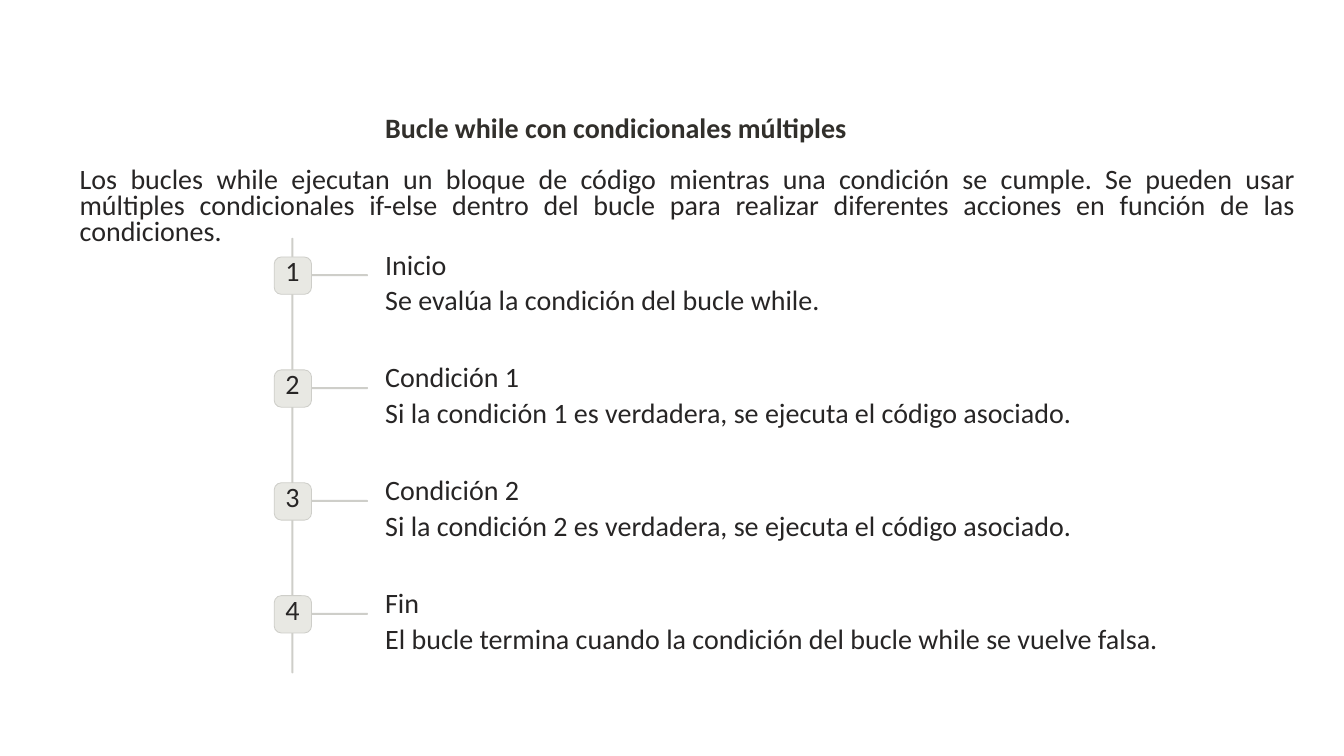
from pptx import Presentation
from pptx.dml.color import RGBColor
from pptx.enum.shapes import MSO_SHAPE
from pptx.enum.text import MSO_ANCHOR, MSO_AUTO_SIZE, PP_ALIGN
from pptx.util import Inches, Pt

TITLE_COLOR = RGBColor(0x31, 0x2F, 0x2B)
TEXT_COLOR = RGBColor(0x27, 0x25, 0x25)
LINE_COLOR = RGBColor(0xCE, 0xCE, 0xC9)
BADGE_COLOR = RGBColor(0xE8, 0xE8, 0xE3)
STEP_PITCH = 1.12
STEPS = [
    ("Inicio", "Se evalúa la condición del bucle while."),
    ("Condición 1", "Si la condición 1 es verdadera, se ejecuta el código asociado."),
    ("Condición 2", "Si la condición 2 es verdadera, se ejecuta el código asociado."),
    ("Fin", "El bucle termina cuando la condición del bucle while se vuelve falsa."),
]

presentation = Presentation()
presentation.slide_width = Inches(13.33)
presentation.slide_height = Inches(7.5)
slide = presentation.slides.add_slide(presentation.slide_layouts[5])


def write_text(box, text, spacing, alignment=PP_ALIGN.LEFT, wrap=False, color=TEXT_COLOR, bold=False):
    frame = box.text_frame
    frame.margin_left = frame.margin_top = frame.margin_right = frame.margin_bottom = 0
    frame.word_wrap = wrap
    frame.auto_size = MSO_AUTO_SIZE.NONE
    frame.vertical_anchor = MSO_ANCHOR.TOP
    frame.text = text
    paragraph = frame.paragraphs[0]
    paragraph.alignment = alignment
    paragraph.line_spacing = Pt(spacing)
    paragraph.font.name = "Calibri"
    paragraph.font.size = Pt(20)
    paragraph.font.bold = bold
    paragraph.font.color.rgb = color


def add_block(left, top, width, height, color, rounding):
    shape = slide.shapes.add_shape(
        MSO_SHAPE.ROUNDED_RECTANGLE, Inches(left), Inches(top), Inches(width), Inches(height))
    shape.adjustments[0] = rounding
    shape.shadow.inherit = False
    shape.fill.solid()
    shape.fill.fore_color.rgb = color
    shape.line.fill.background()
    return shape


title = slide.shapes.title
title.left, title.top = Inches(3.82), Inches(0.91)
title.width, title.height = Inches(7.17), Inches(1.04)
write_text(title, "Bucle while con condicionales múltiples", 37.1,
           wrap=True, color=TITLE_COLOR, bold=True)

introduction = slide.shapes.add_textbox(Inches(0.79), Inches(1.67), Inches(12.06), Inches(0.8))
write_text(
    introduction,
    "Los bucles while ejecutan un bloque de código mientras una condición se cumple. "
    "Se pueden usar múltiples condicionales if-else dentro del bucle para realizar "
    "diferentes acciones en función de las condiciones.",
    18.8, PP_ALIGN.JUSTIFY, wrap=True)

add_block(2.89, 2.36, 0.02, 4.32, LINE_COLOR, 0.5)

for index, (heading, description) in enumerate(STEPS):
    top = 2.55 + index * STEP_PITCH
    add_block(3.07, top + 0.17, 0.58, 0.02, LINE_COLOR, 0.5)
    badge = add_block(2.72, top, 0.37, 0.37, BADGE_COLOR, 0.19)
    badge.line.color.rgb = LINE_COLOR
    badge.line.width = Pt(0.6)

    number_box = slide.shapes.add_textbox(Inches(2.83), Inches(top + 0.06), Inches(0.14), Inches(0.25))
    write_text(number_box, str(index + 1), 17.5, PP_ALIGN.CENTER)
    heading_box = slide.shapes.add_textbox(Inches(3.82), Inches(top - 0.02), Inches(2.07), Inches(0.26))
    write_text(heading_box, heading, 18.3)
    description_box = slide.shapes.add_textbox(Inches(3.82), Inches(top + 0.33), Inches(6.01), Inches(0.27))
    write_text(description_box, description, 18.8)

presentation.save("out.pptx")
